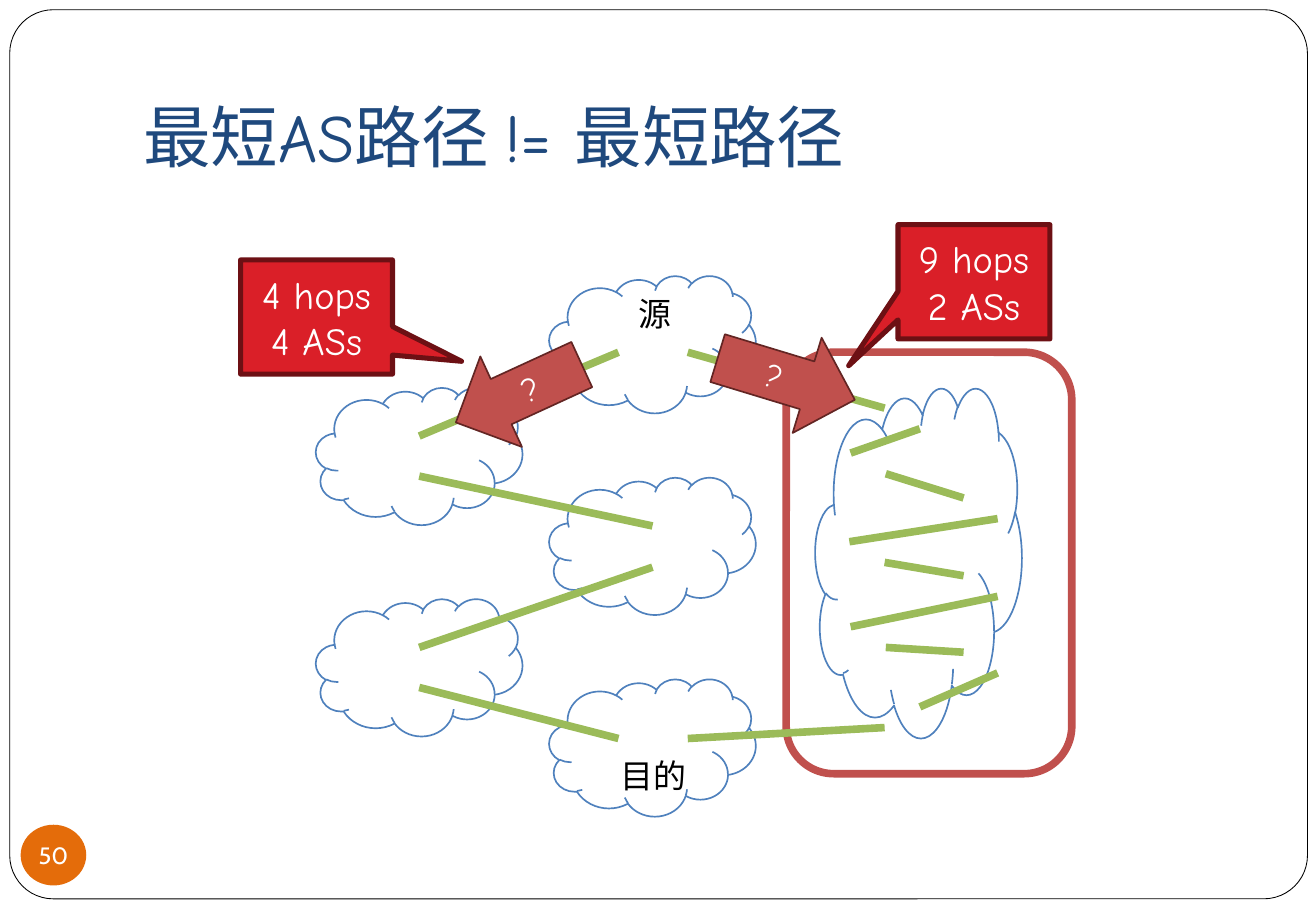
from lxml import etree
from pptx import Presentation
from pptx.dml.color import RGBColor
from pptx.enum.shapes import MSO_CONNECTOR, MSO_SHAPE
from pptx.enum.text import MSO_ANCHOR, PP_ALIGN
from pptx.oxml.ns import qn
from pptx.util import Inches, Pt

ROUND = MSO_SHAPE.ROUNDED_RECTANGLE
CLOUD = MSO_SHAPE.CLOUD
RIGHT = MSO_SHAPE.RIGHT_ARROW
LEFT = MSO_SHAPE.LEFT_ARROW
CALL = MSO_SHAPE.RECTANGULAR_CALLOUT
OVAL = MSO_SHAPE.OVAL
LINE = MSO_CONNECTOR.STRAIGHT
TOP, MIDDLE, BOTTOM = MSO_ANCHOR.TOP, MSO_ANCHOR.MIDDLE, MSO_ANCHOR.BOTTOM
START, CENTER = PP_ALIGN.LEFT, PP_ALIGN.CENTER

HUES = {
    "white": "FFFFFF", "black": "000000", "navy": "1F497D",
    "blue": "4F81BD", "green": "9BBB59", "brick": "C0504D",
    "maroon": "632523", "red": "DA1F28", "wine": "6D1014",
    "orange": "E46C0A",
}
COMIC, HAN, CABIN = "Comic Neue", "Noto Sans CJK SC", "Cabin"


def hue(name):
    return RGBColor.from_string(HUES[name])


class Board:
    def __init__(self, slide):
        self.shapes = slide.shapes

    def shape(self, kind, box, fill=None, line=None, width=1, adj=(), turn=0):
        item = self.shapes.add_shape(kind, *map(Inches, box))
        item.shadow.inherit = False
        item.rotation = turn
        for i, value in enumerate(adj):
            item.adjustments[i] = value
        if fill:
            item.fill.solid()
            item.fill.fore_color.rgb = hue(fill)
        else:
            item.fill.background()
        if line:
            item.line.color.rgb = hue(line)
            item.line.width = Pt(width)
        else:
            item.line.fill.background()
        return item

    def words(self, item, text, size, color, font=COMIC, align=CENTER,
              anchor=MIDDLE, wrap=True, pad=(0.1, 0.05, 0.1, 0.05)):
        frame = item.text_frame
        frame.text = text
        frame.word_wrap = wrap
        frame.vertical_anchor = anchor
        (frame.margin_left, frame.margin_top,
         frame.margin_right, frame.margin_bottom) = map(Inches, pad)
        for para in frame.paragraphs:
            para.alignment = align
            for run in para.runs:
                run.font.size = Pt(size)
                run.font.name = font
                run.font.color.rgb = hue(color)
                east = etree.SubElement(run.font._element, qn("a:ea"))
                east.set("typeface", HAN)

    def label(self, box, text, size, color, **style):
        item = self.shapes.add_textbox(*map(Inches, box))
        self.words(item, text, size, color, **style)

    def link(self, x1, y1, x2, y2):
        ends = map(Inches, (x1, y1, x2, y2))
        item = self.shapes.add_connector(LINE, *ends)
        item.line.color.rgb = hue("green")
        item.line.width = Pt(4.5)
        etree.SubElement(item._element.spPr, qn("a:effectLst"))

    def arrow(self, kind, box, turn):
        item = self.shape(kind, box, "brick", "maroon", turn=turn)
        self.words(item, "?", 19.5, "white")

    def callout(self, x, y, tip, text):
        self.shape(CALL, (x, y, 1.25, 0.94), "red", "wine", 3, tip)
        self.label((x, y + 0.04, 1.25, 0.87), text, 22.8, "white", anchor=TOP)


def main():
    deck = Presentation()
    deck.slide_width, deck.slide_height = Inches(10.83), Inches(7.5)
    board = Board(deck.slides.add_slide(deck.slide_layouts[6]))

    board.shape(ROUND, (0.08, 0.08, 10.68, 7.32), "white", "black", 0.5, [0.049])
    board.shape(ROUND, (6.47, 2.9, 2.35, 3.47), None, "brick", 4.5)
    board.label((1.08, 0.3, 9.21, 1.25), "最短AS路径 != 最短路径", 40, "navy",
                align=START, anchor=BOTTOM, pad=(0.1, 0.05, 0.1, 0.1))

    clouds = [(4.52, 2.27), (2.6, 3.19), (4.52, 3.93), (2.6, 4.93), (4.52, 5.59)]
    for x, y in clouds:
        board.shape(CLOUD, (x, y, 1.7, 1.13), "white", "blue")
    board.shape(CLOUD, (6.71, 3.19, 1.7, 2.88), "white", "blue")

    hops = [
        (3.45, 3.59, 5.09, 2.9), (3.45, 3.92, 5.37, 4.33),
        (3.45, 5.33, 5.37, 4.67), (5.09, 6.08, 3.45, 5.66),
        (7.28, 3.36, 5.66, 2.9), (5.66, 6.08, 7.28, 5.99),
        (7, 3.73, 7.57, 3.53), (7.29, 3.9, 7.93, 4.1),
        (6.99, 4.46, 8.21, 4.27), (7.93, 4.74, 7.28, 4.63),
        (8.21, 4.91, 7, 5.16), (7.93, 5.37, 7.29, 5.33),
        (8.21, 5.54, 7.57, 5.82),
    ]
    for hop in hops:
        board.link(*hop)

    ends = [((5.15, 2.37, 0.48, 0.43), "源"), ((5, 6.17, 0.75, 0.43), "目的")]
    for box, text in ends:
        board.label(box, text, 19.5, "black", font=HAN, anchor=TOP, wrap=False)

    board.arrow(RIGHT, (5.88, 2.71, 1.18, 0.82), 16.9)
    board.arrow(LEFT, (3.7, 2.83, 1.14, 0.82), 335.3)
    board.callout(1.98, 2.14, (0.955, 0.388), "4 hops\n4 ASs")
    board.callout(7.39, 1.85, (-0.825, 0.735), "9 hops\n2 ASs")

    badge = board.shape(OVAL, (0.17, 6.79, 0.54, 0.5), "orange")
    board.words(badge, "50", 14, "white", font=CABIN, wrap=False, pad=(0, 0, 0, 0))

    deck.save("out.pptx")


if __name__ == "__main__":
    main()
